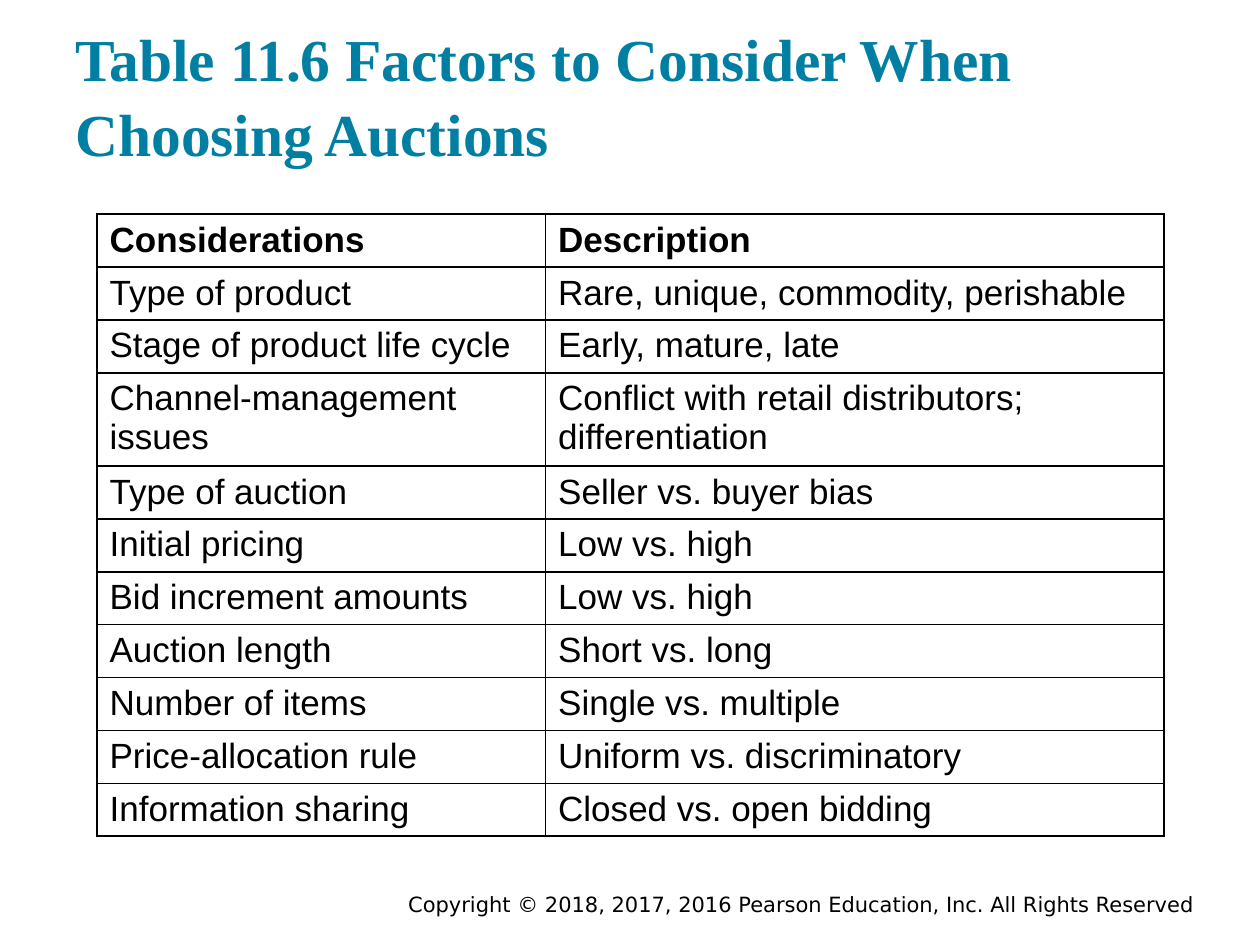
from typing import NamedTuple

from lxml import etree
from pptx import Presentation
from pptx.dml.color import RGBColor
from pptx.enum.text import MSO_ANCHOR, PP_ALIGN
from pptx.oxml.ns import qn
from pptx.util import Inches, Pt

BOTTOM = MSO_ANCHOR.BOTTOM
LEFT, RIGHT = PP_ALIGN.LEFT, PP_ALIGN.RIGHT
BLACK, TEAL = "000000", "007FA3"
COL_WIDTHS = (3.56, 4.91)
ROW_HEIGHT, TALL_ROW_HEIGHT = 0.42, 0.74


class Factor(NamedTuple):
    consideration: str
    description: str
    height: float = ROW_HEIGHT


FACTORS = [
    Factor("Considerations", "Description"),
    Factor("Type of product", "Rare, unique, commodity, perishable"),
    Factor("Stage of product life cycle", "Early, mature, late"),
    Factor("Channel-management issues",
           "Conflict with retail distributors; differentiation", TALL_ROW_HEIGHT),
    Factor("Type of auction", "Seller vs. buyer bias"),
    Factor("Initial pricing", "Low vs. high"),
    Factor("Bid increment amounts", "Low vs. high"),
    Factor("Auction length", "Short vs. long"),
    Factor("Number of items", "Single vs. multiple"),
    Factor("Price-allocation rule", "Uniform vs. discriminatory"),
    Factor("Information sharing", "Closed vs. open bidding"),
]


def rgb(color: str) -> RGBColor:
    return RGBColor.from_string(color)


def add_text(tf, text: str, font: str, size: float, color: str = BLACK,
             bold: bool = False, align=LEFT) -> None:
    p = tf.paragraphs[0]
    p.alignment = align
    r = p.add_run()
    r.text = text
    r.font.name, r.font.size, r.font.bold = font, Pt(size), bold
    r.font.color.rgb = rgb(color)


def set_borders(cell, color: str, width: float) -> None:
    """Draw all four cell edges; call before filling, as edges come first in tcPr."""
    tc_pr = cell._tc.get_or_add_tcPr()
    for edge in ("a:lnL", "a:lnR", "a:lnT", "a:lnB"):
        ln = etree.SubElement(tc_pr, qn(edge), w=str(Pt(width)))
        fill = etree.SubElement(ln, qn("a:solidFill"))
        etree.SubElement(fill, qn("a:srgbClr"), val=color)


def add_title(s, text: str) -> None:
    sp = s.shapes.title
    sp.left, sp.top, sp.width, sp.height = (Inches(v) for v in (0.5, 0.24, 9, 1.2))
    tf = sp.text_frame
    tf.word_wrap = True
    tf.vertical_anchor = BOTTOM
    tf.margin_left = tf.margin_right = tf.margin_top = tf.margin_bottom = Inches(0.1)
    tf.paragraphs[0].line_spacing = 1.05
    add_text(tf, text, "Times New Roman", 34, TEAL, bold=True)


def add_factor_table(s, factors: list[Factor]) -> None:
    height = sum(f.height for f in factors)
    table = s.shapes.add_table(len(factors), len(COL_WIDTHS), Inches(0.77), Inches(1.7),
                               Inches(sum(COL_WIDTHS)), Inches(height)).table
    table.horz_banding = False
    for col, width in zip(table.columns, COL_WIDTHS):
        col.width = Inches(width)
    for i, (row, factor) in enumerate(zip(table.rows, factors)):
        row.height = Inches(factor.height)
        for cell, text in zip(row.cells, (factor.consideration, factor.description)):
            set_borders(cell, BLACK, 1)
            cell.fill.background()
            add_text(cell.text_frame, text, "Arial", 20, bold=i == 0)


def add_copyright(s, text: str) -> None:
    tf = s.shapes.add_textbox(Inches(1.75), Inches(7.03),
                              Inches(7.83), Inches(0.31)).text_frame
    tf.word_wrap = True
    add_text(tf, text, "DejaVu Sans", 12, align=RIGHT)


def main() -> None:
    prs = Presentation()
    prs.slide_width, prs.slide_height = Inches(10), Inches(7.5)
    s = prs.slides.add_slide(prs.slide_layouts.get_by_name("Title Only"))
    add_title(s, "Table 11.6 Factors to Consider When Choosing Auctions")
    add_factor_table(s, FACTORS)
    add_copyright(s, "Copyright © 2018, 2017, 2016 Pearson Education, Inc. All Rights Reserved")
    prs.save("out.pptx")


if __name__ == "__main__":
    main()
